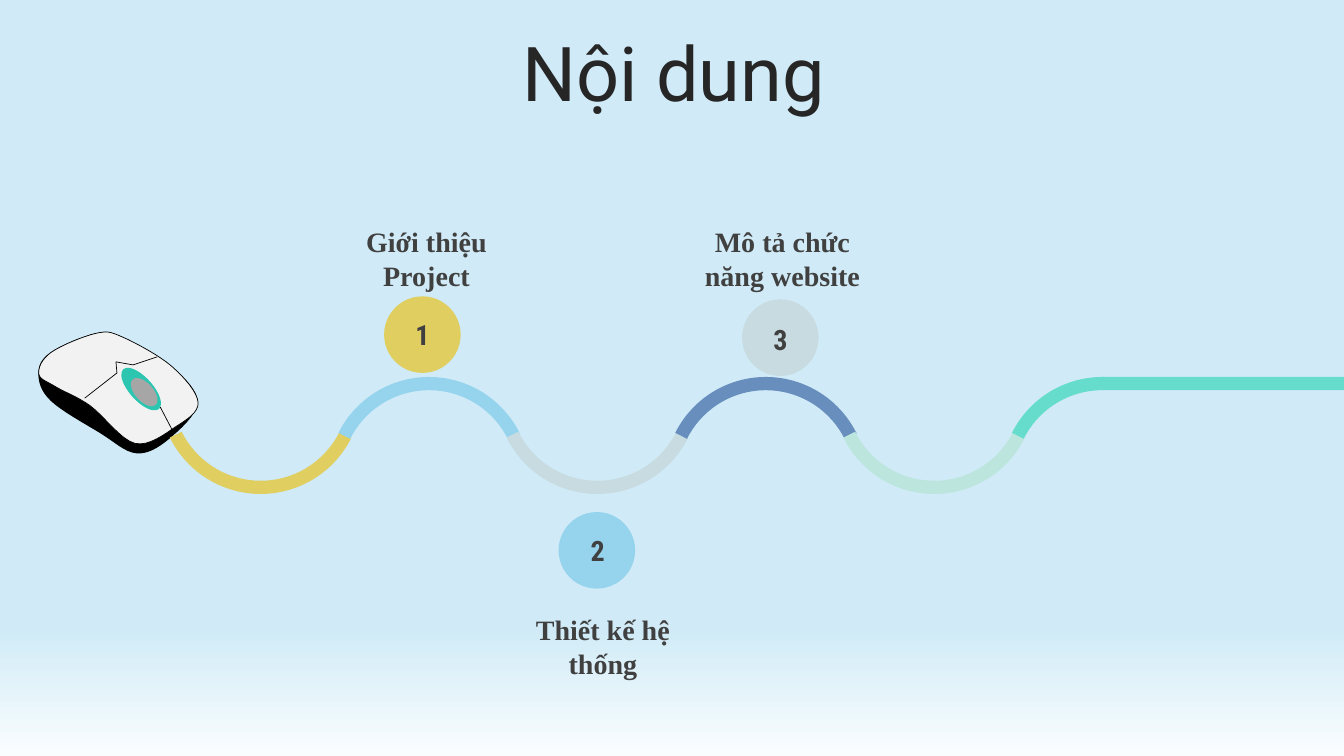
from pptx import Presentation
from pptx.dml.color import RGBColor
from pptx.enum.shapes import MSO_SHAPE as Shape
from pptx.enum.text import MSO_ANCHOR as Anchor, PP_ALIGN as Align
from pptx.util import Inches, Pt

COLORS = {
    "sky": "D0EBF7", "haze": "FAFDFE", "title": "262626", "text": "404040",
    "yellow": "E0CE61", "blue": "96D3ED", "grey": "C7DBE1", "navy": "688EBD",
    "mint": "BCE5DD", "teal": "66DDCC", "black": "000000", "shell": "F2F2F2",
    "wheel_rim": "2CC6B0", "wheel": "A6A6A6",
}

# Mouse outlines, in inches from the corner of the mouse area
BACK_EDGE = [(0.4, 0.64), (0.54, 0.44), (1, 0.29), (1.26, 0.35), (1.72, 0.68), (1.95, 1.06)]
BASE_EDGE = [(1.63, 1.4), (1.3, 1.51), (0.96, 1.28), (0.5, 0.92)]
SHELL_EDGE = [(1.71, 1.28), (1.29, 1.41), (0.88, 1), (0.55, 0.78)]
SEAMS = [
    [(0.84, 0.95), (1.16, 0.7), (1.15, 0.59), (1.32, 0.62), (1.56, 0.54)],
    [(1.59, 1.04), (1.71, 1.27)],
]

# Label, number, disc colour, disc position, number position, label position
TOPICS = [
    ("Giới thiệu Project", "1", "yellow", (3.81, 2.94), (3.69, 3.1), (3.24, 2.18)),
    ("Thiết kế hệ thống", "2", "blue", (5.54, 5.08), (5.43, 5.24), (4.99, 6.03)),
    ("Mô tả chức năng website", "3", "grey", (7.36, 2.97), (7.24, 3.15), (6.77, 2.18)),
]


def rgb(name):
    return RGBColor.from_string(COLORS[name])


def paint(shape, color):
    shape.shadow.inherit = False
    shape.fill.solid()
    shape.fill.fore_color.rgb = rgb(color)
    shape.line.fill.background()


def add_preset(slide, kind, box, color):
    shape = slide.shapes.add_shape(kind, *map(Inches, box))
    paint(shape, color)
    return shape


def add_text(slide, box, text, size, font, color="text", bold=True, anchor=Anchor.TOP):
    frame = slide.shapes.add_textbox(*map(Inches, box)).text_frame
    frame.word_wrap = True
    frame.vertical_anchor = anchor
    frame.text = text
    paragraph = frame.paragraphs[0]
    paragraph.alignment = Align.CENTER
    run_font = paragraph.runs[0].font
    run_font.size, run_font.name, run_font.bold = Pt(size), font, bold
    run_font.color.rgb = rgb(color)
    return frame


def smooth_loop(anchors, steps=8):
    """Return points of a closed Catmull-Rom curve through the anchors."""
    count = len(anchors)
    points = []
    for index in range(count):
        corners = [anchors[(index + shift) % count] for shift in (-1, 0, 1, 2)]
        for step in range(steps):
            t = step / steps
            points.append(tuple(
                b + t * (c - a + t * (2 * a - 5 * b + 4 * c - d
                                      + t * (3 * b - 3 * c + d - a))) / 2
                for a, b, c, d in zip(*corners)))
    return points


def add_outline(slide, left, top, points, close):
    corners = [(Inches(left + x), Inches(top + y)) for x, y in points]
    builder = slide.shapes.build_freeform(*corners[0])
    builder.add_line_segments(corners[1:], close=close)
    return builder.convert_to_shape()


def draw_mouse(slide, left, top):
    for color, lower_edge in (("black", BASE_EDGE), ("shell", SHELL_EDGE)):
        body = add_outline(slide, left, top, smooth_loop(BACK_EDGE + lower_edge), True)
        body.rotation = 355.1
        paint(body, color)
    body.line.color.rgb = rgb("black")
    body.line.width = Pt(0.5)
    for points in SEAMS:
        seam = add_outline(slide, left, top, points, False)
        seam.shadow.inherit = False
        seam.fill.background()
        seam.line.color.rgb = rgb("black")
        seam.line.width = Pt(0.5)
    for color, x, y, length, width in (("wheel_rim", 1.4, 0.86, 0.53, 0.23),
                                       ("wheel", 1.43, 0.89, 0.34, 0.18)):
        oval = add_preset(slide, Shape.OVAL,
                          (left + x - length / 2, top + y - width / 2, length, width), color)
        oval.rotation = 48


def draw_cable(slide, left, top):
    """Draw alternating arcs, low and high, that end in a straight run."""
    size, step, rise = 2.01, 1.67, 0.85
    colors = ["yellow", "blue", "grey", "navy", "mint", "teal"]
    last = len(colors) - 1
    for index, color in enumerate(colors):
        is_crest = index % 2 == 1
        arc_top = top + rise if is_crest else top
        arc = add_preset(slide, Shape.BLOCK_ARC,
                         (left + index * step, arc_top, size, size), color)
        arc.rotation = 0 if is_crest else 180
        arc.adjustments[0] = 123.99
        arc.adjustments[1] = 162.43 if index == last else 200.21
        arc.adjustments[2] = 0.065
    run_left = left + last * step + size / 2
    add_preset(slide, Shape.RECTANGLE, (run_left, top + rise, 13.33 - run_left, 0.13), "teal")


def draw_topics(slide):
    for _, _, color, disc, _, _ in reversed(TOPICS):
        add_preset(slide, Shape.OVAL, (*disc, 0.76, 0.76), color)
    for label, number, _, _, number_at, label_at in TOPICS:
        add_text(slide, (*number_at, 1, 0.44), number, 20, "Roboto Condensed",
                 anchor=Anchor.MIDDLE)
        add_text(slide, (*label_at, 1.98, 0.77), label, 20, "Times New Roman")


def draw_title(slide, box):
    frame = add_text(slide, box, "Nội dung", 54, "Roboto", "title", False, Anchor.MIDDLE)
    frame.margin_left = frame.margin_right = frame.margin_top = frame.margin_bottom = 0
    frame.paragraphs[0].line_spacing = 0.9


def draw_background(slide):
    fill = slide.background.fill
    fill.gradient()
    fill.gradient_angle = 270
    for stop, color, position in zip(fill.gradient_stops, ("sky", "haze"), (0.83, 1)):
        stop.color.rgb = rgb(color)
        stop.position = position


def main():
    deck = Presentation()
    deck.slide_width, deck.slide_height = Inches(13.33), Inches(7.5)
    slide = deck.slides.add_slide(deck.slide_layouts[6])
    draw_background(slide)
    draw_title(slide, (0.35, 0.37, 12.66, 0.79))
    draw_mouse(slide, 0, 3)
    draw_cable(slide, 1.58, 2.89)
    draw_topics(slide)
    deck.save("out.pptx")


if __name__ == "__main__":
    main()
